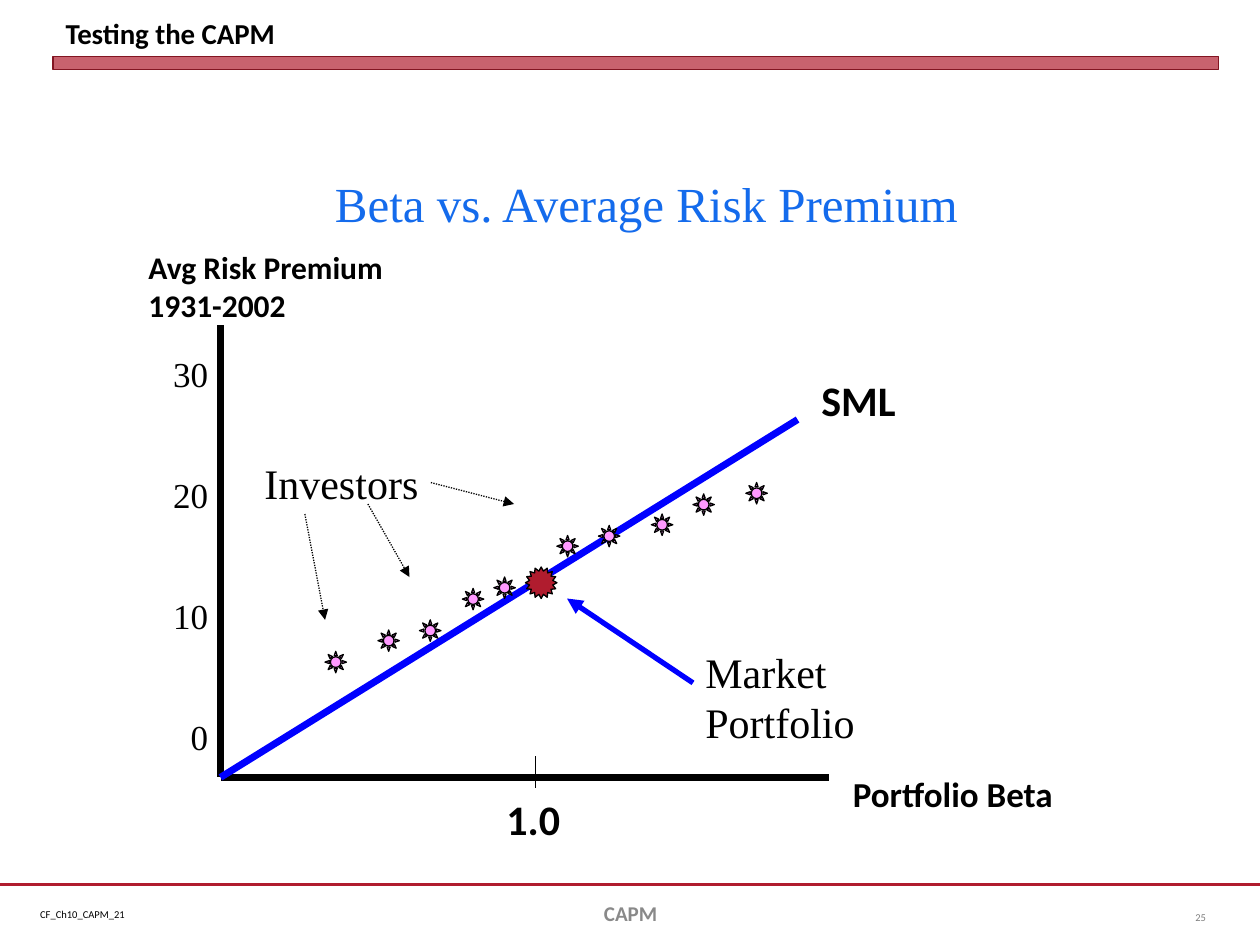
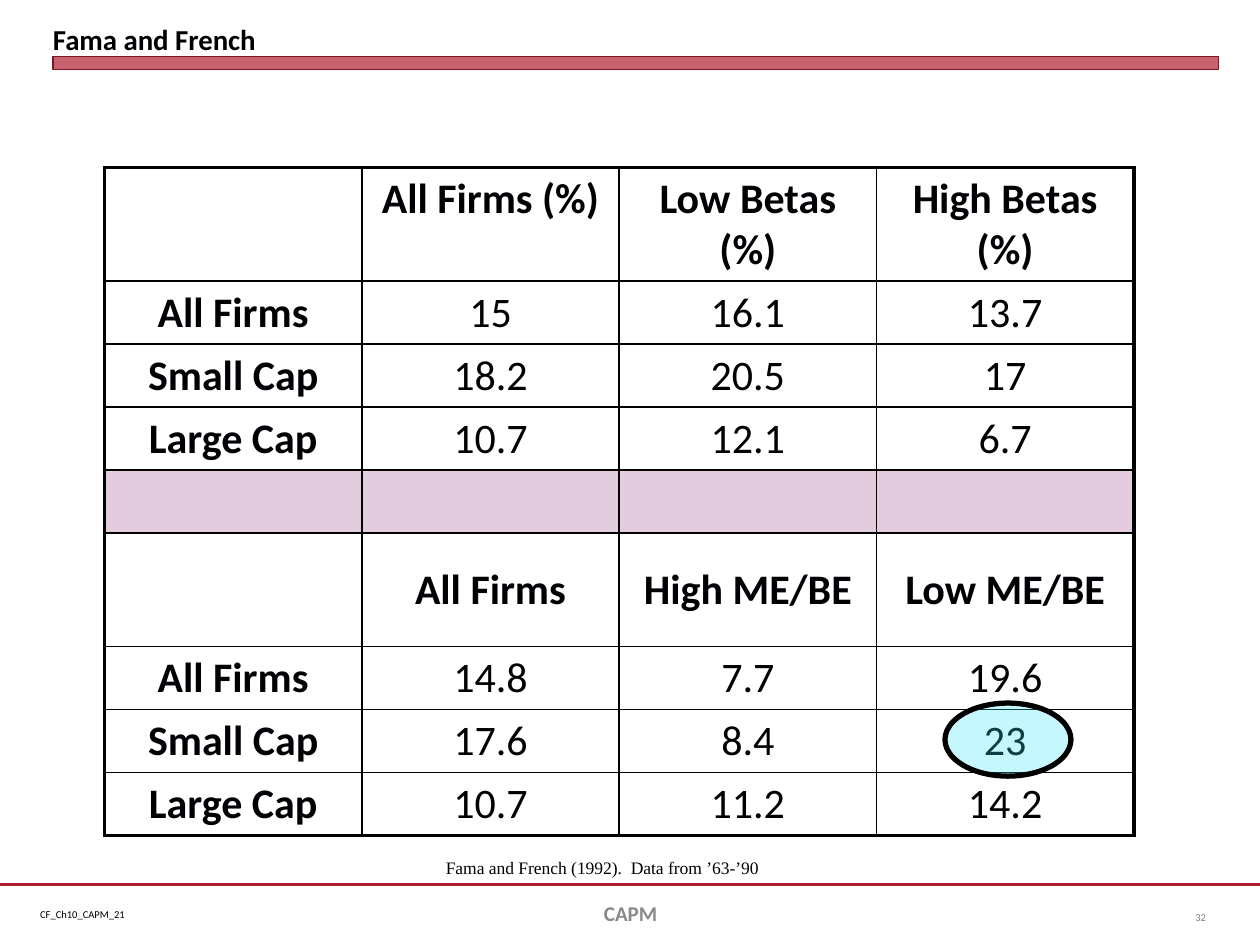
from lxml import etree
from pptx import Presentation
from pptx.dml.color import RGBColor
from pptx.enum.dml import MSO_LINE as Dash
from pptx.enum.shapes import MSO_CONNECTOR as Conn, MSO_SHAPE as Kind
from pptx.enum.text import MSO_ANCHOR as Anchor, MSO_AUTO_SIZE as Fit, PP_ALIGN as Align
from pptx.oxml.ns import qn
from pptx.util import Inches, Pt

BLACK, INK, WHITE = "000000", "010004", "FFFFFF"
RED, MAROON = "B01C2E", "821522"
BLUE, SKY, PINK, MAUVE, CYAN = "0000FF", "146BEC", "FF99FF", "E3CCDD", "2EE4F7"
GREY, DIM = "898989", "808080"
SANS, SERIF = "Calibri", "Times New Roman"


def rgb(code):
    return RGBColor.from_string(code)


def style(para, size, color=BLACK, face=SANS, bold=False, align=Align.LEFT):
    para.alignment = align
    font = para.font
    font.name, font.size, font.bold = face, Pt(size), bold
    font.color.rgb = rgb(color)


def label(slide, box, text, size, gap=0, anchor=Anchor.TOP, wrap=True, **look):
    frame = slide.shapes.add_textbox(*map(Inches, box)).text_frame
    frame.word_wrap = wrap
    frame.vertical_anchor = anchor
    frame.text = text
    for i, para in enumerate(frame.paragraphs):
        style(para, size, **look)
        if i:
            para.space_before = Pt(gap)


def line(slide, start, end, color, width, arrow=False, dash=None):
    link = slide.shapes.add_connector(Conn.STRAIGHT, *map(Inches, (*start, *end)))
    link.line.color.rgb = rgb(color)
    link.line.width = Pt(width)
    if dash:
        link.line.dash_style = dash
    if arrow:
        etree.SubElement(link.line._get_or_add_ln(), qn("a:tailEnd"), type="triangle")
    etree.SubElement(link._element.spPr, qn("a:effectLst"))


def shape(slide, kind, box, fill, edge, width, alpha=None, adjust=None):
    item = slide.shapes.add_shape(kind, *map(Inches, box))
    item.shadow.inherit = False
    item.fill.solid()
    item.fill.fore_color.rgb = rgb(fill)
    item.line.color.rgb = rgb(edge)
    item.line.width = Pt(width)
    if adjust:
        item.adjustments[0] = adjust
    if alpha:
        tone = item._element.spPr.find(qn("a:solidFill"))[0]
        etree.SubElement(tone, qn("a:alpha"), val=str(alpha * 1000))


def page(deck, title, number, color=BLACK, inset=(0.1, 0.05)):
    slide = deck.slides.add_slide(deck.slide_layouts[5])
    line(slide, (0, 7.02), (10, 7.02), RED, 1.25)
    label(slide, (0.22, 7.16, 0.88, 0.2), "CF_Ch10_CAPM_21", 6, wrap=False)
    shape(slide, Kind.RECTANGLE, (0.42, 0.45, 9.25, 0.1), RED, MAROON, 0, alpha=69)
    head = slide.shapes.title
    head.left, head.top, head.width, head.height = map(Inches, (0.42, 0.05, 9.25, 0.4))
    frame = head.text_frame
    frame.text = title
    frame.auto_size = Fit.NONE
    frame.vertical_anchor = Anchor.BOTTOM
    frame.margin_left = frame.margin_right = Inches(inset[0])
    frame.margin_top = frame.margin_bottom = Inches(inset[1])
    style(frame.paragraphs[0], 16.5, color, bold=True)
    label(slide, (3.42, 7.05, 3.17, 0.4), "CAPM", 12, anchor=Anchor.MIDDLE,
          color=GREY, bold=True, align=Align.CENTER)
    label(slide, (9.17, 7.08, 0.5, 0.4), number, 6, anchor=Anchor.MIDDLE,
          color=DIM, align=Align.RIGHT)
    return slide


def plot(slide, left, top, width, height):
    def at(x, y, *size):
        return (left + x, top + y, *size)

    base = at(0, height)
    line(slide, at(0, 0), base, BLACK, 4)
    line(slide, base, at(width, height), BLACK, 4)
    line(slide, base, at(4.58, 0.75), BLUE, 4)
    line(slide, at(2.5, 3.42), at(2.5, 3.67), BLACK, 0.75)

    for box, text, size in (
        ((-0.67, -0.66, 2.42, 0.7), "Avg Risk Premium 1931-2002", 18),
        ((4.92, 3.5, 2.17, 0.44), "Portfolio Beta", 20),
        ((2.17, 3.67, 0.75, 0.51), "1.0", 24),
        ((4.67, 0.34, 2.17, 0.51), "SML", 24),
    ):
        label(slide, at(*box), text, size, bold=True)
    label(slide, at(-0.92, 0.17, 0.92, 3.43), "30\n20\n10\n0", 20, gap=45,
          face=SERIF, align=Align.RIGHT)
    label(slide, at(0.25, 1, 1.75, 0.5), "Investors", 24, face=SERIF)
    label(slide, at(3.75, 2.5, 1.75, 0.9), "Market Portfolio", 24, face=SERIF)
    label(slide, at(0.42, -1.25, 5.92, 0.57), "Beta vs. Average Risk Premium", 28,
          face=SERIF, color=SKY, align=Align.CENTER)

    for x, y in ((0.83, 2.59), (1.25, 2.42), (1.58, 2.34), (1.92, 2.09), (2.17, 2),
                 (2.67, 1.67), (3, 1.59), (3.42, 1.5), (3.75, 1.34), (4.17, 1.25)):
        shape(slide, Kind.SUN, at(x, y, 0.17, 0.17), PINK, BLACK, 0.75, adjust=0.25)
    for start, end in (((0.67, 1.5), (0.83, 2.34)), ((1.17, 1.42), (1.5, 2)),
                       ((1.67, 1.25), (2.33, 1.42))):
        line(slide, at(*start), at(*end), BLACK, 0.75, arrow=True, dash=Dash.ROUND_DOT)
    shape(slide, Kind.STAR_16_POINT, at(2.42, 1.92, 0.25, 0.25), RED, BLACK, 0.75,
          adjust=0.375)
    line(slide, at(3.75, 2.84), at(2.75, 2.17), BLUE, 3, arrow=True)


def border(cell, sides):
    props = cell._tc.get_or_add_tcPr()
    for i, (side, width) in enumerate(sides.items()):
        edge = etree.Element(qn(f"a:ln{side}"), w=str(Pt(width)))
        fill = etree.SubElement(edge, qn("a:solidFill"))
        etree.SubElement(fill, qn("a:srgbClr"), val=BLACK)
        props.insert(i, edge)


def grid(slide, left, top, width, rows):
    heads = (0, 5)
    tall = [0.9 if r in heads else 0.5 for r in range(len(rows))]
    last, end = len(rows) - 1, len(rows[0]) - 1
    box = map(Inches, (left, top, width, sum(tall)))
    table = slide.shapes.add_table(len(rows), end + 1, *box).table
    table.first_row = table.horz_banding = False
    for r, row in enumerate(rows):
        table.rows[r].height = Inches(tall[r])
        for c, text in enumerate(row):
            cell = table.cell(r, c)
            if any(row):
                cell.fill.background()
            else:
                cell.fill.solid()
                cell.fill.fore_color.rgb = rgb(MAUVE)
            cell.vertical_anchor = Anchor.MIDDLE if r == 5 else Anchor.TOP
            cell.text = text
            style(cell.text_frame.paragraphs[0], 24 if text else 18, INK,
                  bold=r in heads or c == 0, align=Align.CENTER)
            outer = {"L": c == 0, "R": c == end, "T": r == 0, "B": r == last}
            border(cell, {side: 2.25 if out else 1 for side, out in outer.items()})


def main():
    deck = Presentation()
    deck.slide_width, deck.slide_height = Inches(10), Inches(7.5)

    slide = page(deck, "Testing the CAPM", "25")
    plot(slide, 1.75, 2.58, 4.83, 3.59)

    slide = page(deck, "Fama and French", "32", INK, (0, 0))
    grid(slide, 0.83, 1.33, 8.17, (
        ("", "All Firms (%)", "Low Betas (%)", "High Betas (%)"),
        ("All Firms", "15", "16.1", "13.7"),
        ("Small Cap", "18.2", "20.5", "17"),
        ("Large Cap", "10.7", "12.1", "6.7"),
        ("", "", "", ""),
        ("", "All Firms", "High ME/BE", "Low ME/BE"),
        ("All Firms", "14.8", "7.7", "19.6"),
        ("Small Cap", "17.6", "8.4", "23"),
        ("Large Cap", "10.7", "11.2", "14.2"),
    ))
    label(slide, (3.44, 6.75, 2.73, 0.27), "Fama and French (1992).  Data from ’63-’90",
          10, wrap=False, color=INK, face=SERIF)
    shape(slide, Kind.OVAL, (7.5, 5.58, 1, 0.58), CYAN, BLACK, 3, alpha=27)

    deck.save("out.pptx")


if __name__ == "__main__":
    main()
